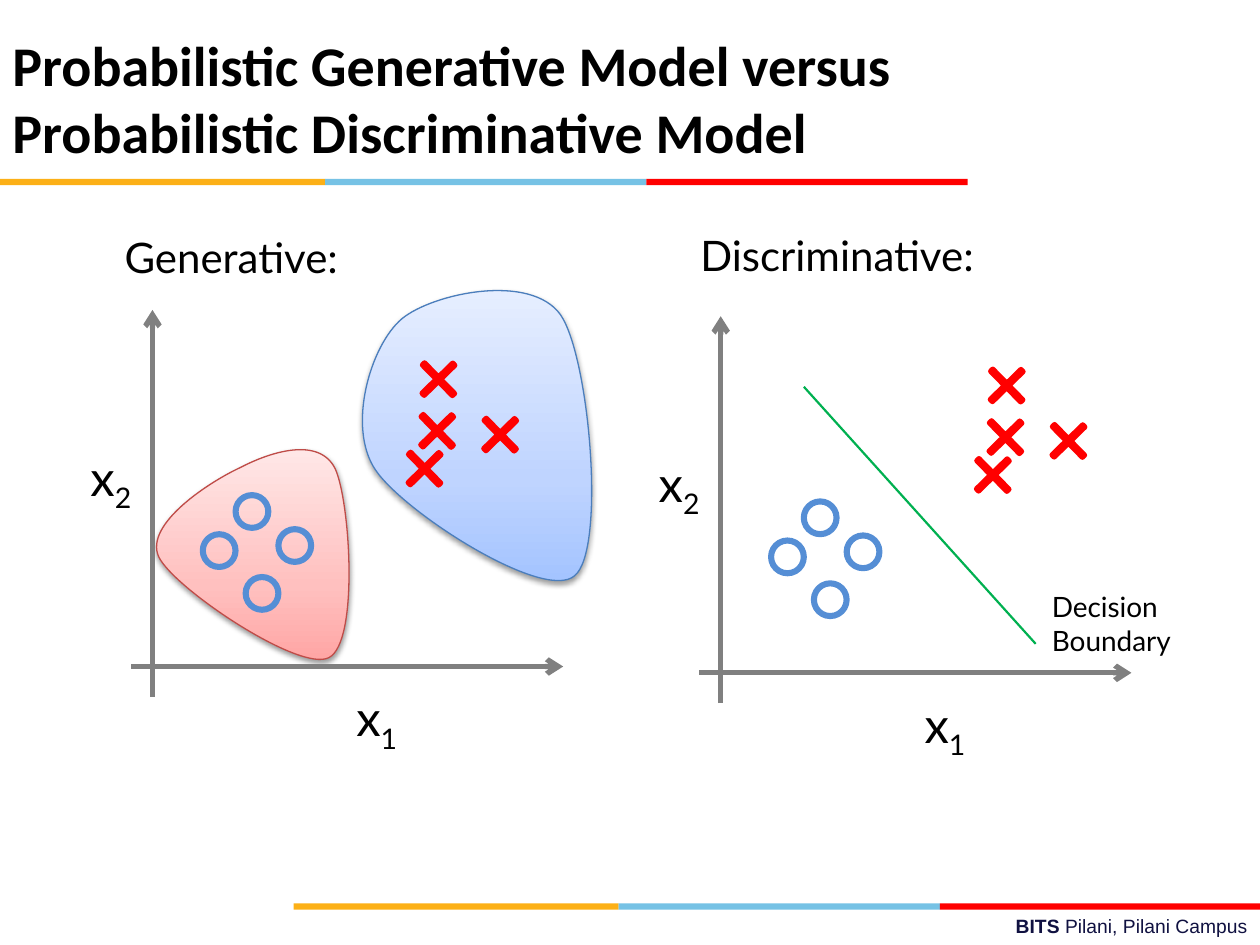
from copy import deepcopy
from dataclasses import dataclass

from pptx import Presentation
from pptx import util as u
from pptx.dml import color
from pptx.enum import shapes, text
from pptx.oxml import ns, xmlchemy

BLACK = color.RGBColor(0x00, 0x00, 0x00)
NAVY = color.RGBColor(0x10, 0x11, 0x41)
GOLD = color.RGBColor(0xFC, 0xB0, 0x17)
SKY = color.RGBColor(0x76, 0xC2, 0xE5)
RED = color.RGBColor(0xFF, 0x00, 0x00)
GRAY = color.RGBColor(0x80, 0x80, 0x80)
GREEN = color.RGBColor(0x00, 0xB0, 0x50)
CIRCLE_BLUE = color.RGBColor(0x55, 0x8E, 0xD5)
BLUE_EDGE = color.RGBColor(0x4B, 0x7E, 0xBC)
BLUE_SHADES = (color.RGBColor(0xA4, 0xC4, 0xFF), color.RGBColor(0xBF, 0xD4, 0xFF),
               color.RGBColor(0xE6, 0xEE, 0xFF))
RED_EDGE = color.RGBColor(0xBF, 0x4C, 0x48)
RED_SHADES = (color.RGBColor(0xFF, 0xA6, 0xA5), color.RGBColor(0xFF, 0xC0, 0xBF),
              color.RGBColor(0xFF, 0xE7, 0xE7))

CIRCLES = ((1.61, 4.24), (2.21, 4.2), (1.95, 4.58), (1.87, 3.93))
CROSSES = ((3.2, 3.55), (3.31, 2.84), (3.8, 3.28), (3.3, 3.25))
AXES = ((1.21, 5.53, 1.21, 2.46), (1.04, 5.29, 4.47, 5.29))


@dataclass(frozen=True)
class Run:
    words: str
    size: float
    font: str = "Lato"
    ink: color.RGBColor = BLACK
    bold: bool = False
    subscript: bool = False


@dataclass(frozen=True)
class Region:
    box: tuple[float, float, float, float]
    curve: tuple[tuple[float, float], ...]
    shades: tuple[color.RGBColor, ...]
    edge: color.RGBColor


REGIONS = (
    Region((2.88, 2.3, 1.82, 2.31),
           ((3.19, 2.53), (2.94, 2.74), (2.75, 3.39), (2.98, 3.73), (3.21, 4.07),
            (4.32, 4.78), (4.56, 4.57), (4.81, 4.37), (4.68, 2.84), (4.45, 2.5),
            (4.21, 2.16), (3.43, 2.33), (3.19, 2.53)), BLUE_SHADES, BLUE_EDGE),
    Region((1.24, 3.57, 1.52, 1.66),
           ((1.91, 3.71), (1.67, 3.82), (1.14, 4.16), (1.26, 4.42), (1.38, 4.67),
            (2.38, 5.34), (2.61, 5.22), (2.85, 5.1), (2.78, 3.98), (2.66, 3.72),
            (2.53, 3.46), (2.14, 3.59), (1.91, 3.71)), RED_SHADES, RED_EDGE),
)


def add_child(parent, tag: str, **attributes: str):
    """Append an XML child with the given attributes."""
    child = xmlchemy.OxmlElement(tag)
    for name, value in attributes.items():
        child.set(name, value)
    parent.append(child)
    return child


def add_text(parent, box: tuple[float, ...], runs: tuple[Run, ...],
             align=text.PP_ALIGN.LEFT, wrap: bool = True) -> None:
    """Write one paragraph in a text box."""
    frame = parent.add_textbox(*map(u.Inches, box)).text_frame
    frame.word_wrap = wrap
    paragraph = frame.paragraphs[0]
    paragraph.alignment = align
    for part in runs:
        run = paragraph.add_run()
        run.text = part.words
        run.font.size = u.Pt(part.size)
        run.font.name = part.font
        run.font.bold = part.bold
        run.font.color.rgb = part.ink
        if part.subscript:
            run.font._element.set("baseline", "-25000")


def add_line(parent, ends: tuple[float, ...], ink: color.RGBColor, width: float,
             arrow: bool = False) -> None:
    """Draw a straight line, with an arrowhead if asked."""
    line = parent.add_connector(shapes.MSO_CONNECTOR.STRAIGHT, *map(u.Inches, ends))
    line.line.color.rgb = ink
    line.line.width = u.Pt(width)
    if arrow:
        add_child(line.line._get_or_add_ln(), "a:tailEnd", type="arrow")
    add_child(line._element.spPr, "a:effectLst")


def add_bar(parent, left: float, top: float) -> None:
    """Draw the three-colour rule."""
    for ink, width in ((GOLD, 2.58), (SKY, 2.55), (RED, 2.55)):
        band = parent.add_shape(shapes.MSO_SHAPE.RECTANGLE,
                                *map(u.Inches, (left, top, width, 0.05)))
        band.shadow.inherit = False
        band.fill.solid()
        band.fill.fore_color.rgb = ink
        band.line.fill.background()
        left += width


def add_region(parent, region: Region) -> None:
    """Draw a shaded class region bounded by cubic curves."""
    points = [(u.Inches(x), u.Inches(y)) for x, y in region.curve]
    builder = parent.build_freeform(*points[0])
    builder.add_line_segments(points[1:], close=True)
    blob = builder.convert_to_shape()
    left, top, width, height = map(u.Inches, region.box)
    path = blob._element.find(".//" + ns.qn("a:path"))
    for point in path.iter(ns.qn("a:pt")):
        point.set("x", str(int(point.get("x")) + blob.left - left))
        point.set("y", str(int(point.get("y")) + blob.top - top))
    path.set("w", str(width))
    path.set("h", str(height))
    blob.left, blob.top, blob.width, blob.height = left, top, width, height
    segments = path.findall(ns.qn("a:lnTo"))
    for start in range(0, len(segments), 3):
        bezier = xmlchemy.OxmlElement("a:cubicBezTo")
        segments[start].addprevious(bezier)
        for segment in segments[start:start + 3]:
            bezier.append(segment[0])
            path.remove(segment)

    blob.fill.gradient()
    blob.fill.gradient_angle = 90
    stops = blob._element.spPr.find(".//" + ns.qn("a:gsLst"))
    stops.append(deepcopy(stops[0]))
    for stop, shade, position in zip(blob.fill.gradient_stops, region.shades, (0, 0.35, 1)):
        stop.color.rgb = shade
        stop.position = position
    blob.line.color.rgb = region.edge
    blob.line.width = u.Pt(0.75)
    blob.shadow.inherit = False
    shadow = add_child(blob._element.spPr.find(ns.qn("a:effectLst")), "a:outerShdw",
                       blurRad=str(u.Pt(3.1)), dist=str(u.Pt(1.6)), dir="5400000",
                       rotWithShape="0")
    add_child(add_child(shadow, "a:srgbClr", val="000000"), "a:alpha", val="38000")


def add_plot(parent, dx: float, dy: float) -> None:
    """Draw the axes and both classes of samples, moved by an offset."""
    plot = parent.add_group_shape().shapes
    for x, y in CIRCLES:
        circle = plot.add_shape(shapes.MSO_SHAPE.OVAL,
                                *map(u.Inches, (x + dx, y + dy, 0.26, 0.26)))
        circle.shadow.inherit = False
        circle.fill.background()
        circle.line.color.rgb = CIRCLE_BLUE
        circle.line.width = u.Pt(3.5)
    for x, y in CROSSES:
        cross = plot.add_shape(shapes.MSO_SHAPE.CROSS,
                               *map(u.Inches, (x + dx, y + dy, 0.34, 0.34)))
        cross.adjustments[0] = 0.466
        cross.rotation = 45.6
        cross.shadow.inherit = False
        cross.fill.solid()
        cross.fill.fore_color.rgb = BLACK
        cross.line.color.rgb = RED
        cross.line.width = u.Pt(3)
    for index, x, y in (("1", 2.73, 5.41), ("2", 0.62, 3.5)):
        add_text(plot, (x + dx, y + dy, 0.54, 0.57),
                 (Run("x", 28), Run(index, 28, subscript=True)), wrap=False)
    for x1, y1, x2, y2 in AXES:
        add_line(plot, (x1 + dx, y1 + dy, x2 + dx, y2 + dy), GRAY, 3, arrow=True)


def main() -> None:
    """Build and save the slide."""
    deck = Presentation()
    deck.slide_width, deck.slide_height = u.Inches(10), u.Inches(7.5)
    canvas = deck.slides.add_slide(deck.slide_layouts[6]).shapes
    add_text(canvas, (3.58, 7.21, 6.42, 0.29),
             (Run("BITS ", 11, "Arial", NAVY, bold=True),
              Run("Pilani, Pilani Campus", 11, "Arial", NAVY)), text.PP_ALIGN.RIGHT)
    add_bar(canvas, 2.33, 7.17)
    add_bar(canvas, 0, 1.42)
    for region in REGIONS:
        add_region(canvas, region)
    add_plot(canvas, 0, 0)
    add_text(canvas, (0.89, 1.79, 3.56, 0.5), (Run("Generative:", 24),))
    add_plot(canvas, 4.51, 0.05)
    add_text(canvas, (5.46, 1.77, 3.56, 0.5), (Run("Discriminative:", 24),))
    add_line(canvas, (6.38, 3.07, 8.22, 5.11), GREEN, 1.25)
    add_text(canvas, (8.25, 4.63, 1.58, 0.64), (Run("Decision Boundary", 16),))
    add_text(canvas, (0, 0.19, 9.17, 0.93),
             (Run("Probabilistic Generative Model versus Probabilistic Discriminative Model",
                  32, "Calibri", bold=True),))
    deck.save("out.pptx")


if __name__ == "__main__":
    main()
